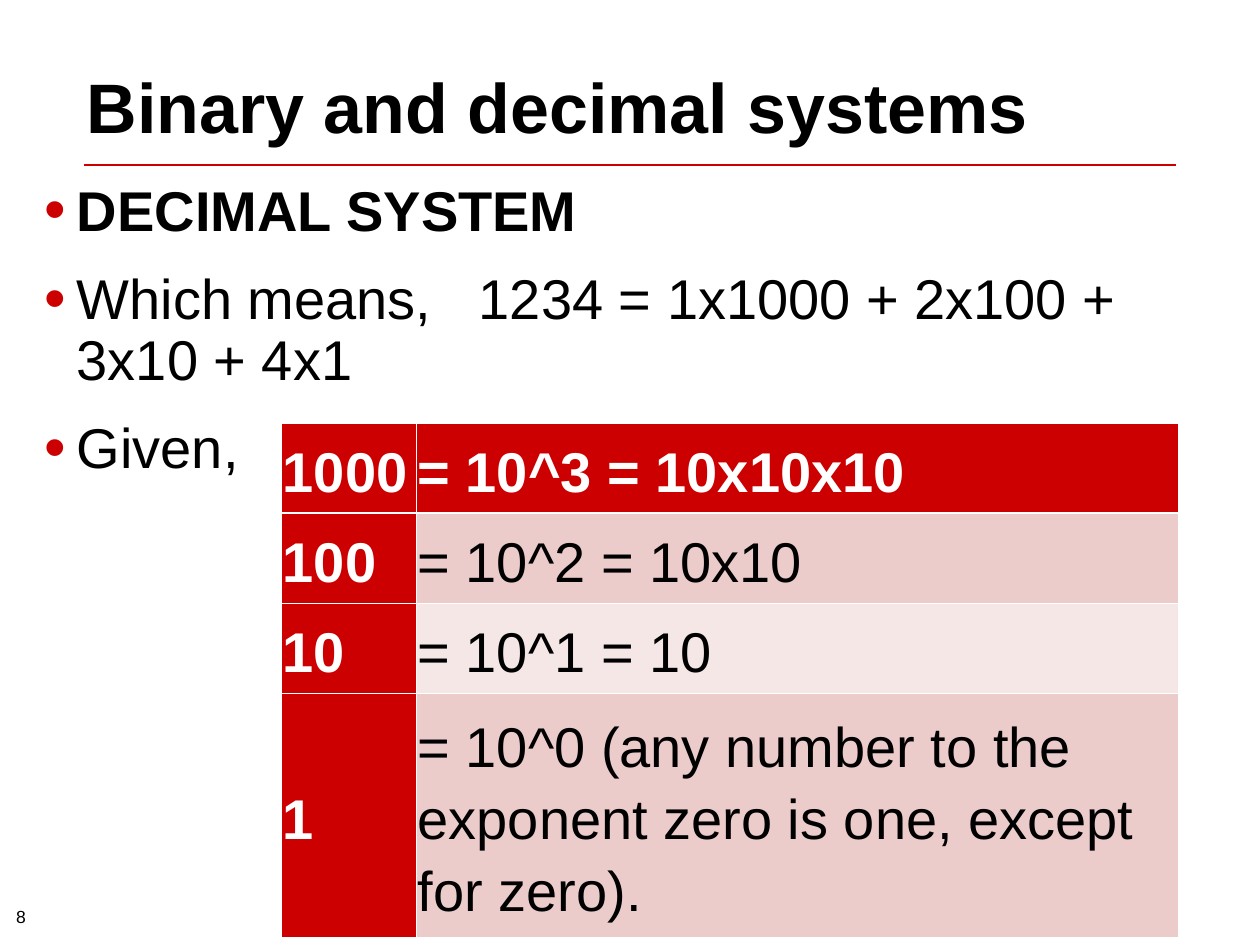
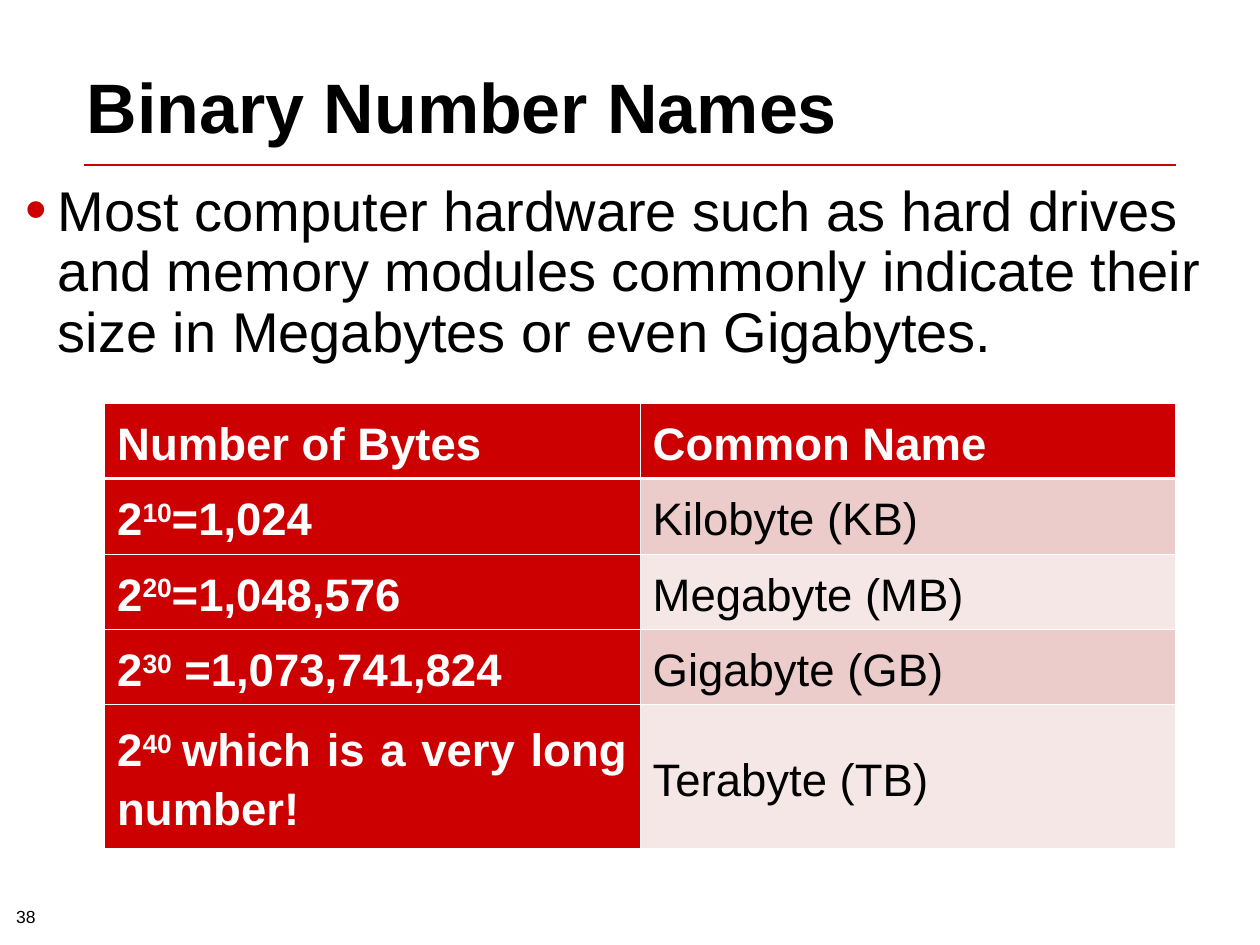
from lxml.etree import SubElement
from pptx import Presentation
from pptx.dml.color import RGBColor as RGB
from pptx.enum.shapes import MSO_CONNECTOR as Connector
from pptx.enum.text import MSO_ANCHOR as Anchor, PP_ALIGN as Align
from pptx.oxml.ns import qn
from pptx.util import Pt

COLORS = {"accent": "CC0000", "text": "000000", "light": "FFFFFF",
          "band_dark": "ECCBCB", "band_pale": "F6E7E7"}
SUPER = {"baseline": "30000"}
WIDE_SPACE = {"spc": "1780"}
BOLD = {"bold": True}


def color(name):
    return RGB.from_string(COLORS[name])


def assign(target, values):
    for name, value in values.items():
        setattr(target, name, value)


class Deck:
    font = "Arial"
    title_para = {"line_spacing": Pt(32)}
    bullet_para = {"line_spacing": 0.9, "space_before": Pt(8), "space_after": Pt(8)}
    bullet_indent = Pt(18.72)

    def __init__(self, width, height):
        self.prs = Presentation()
        assign(self.prs, {"slide_width": Pt(width), "slide_height": Pt(height)})
        self.s = None

    def slide(self, title, number):
        self.s = self.prs.slides.add_slide(self.prs.slide_layouts[6])
        tf = self.box(49.68, 18, 620.64, 66.24, Anchor.BOTTOM)
        self.text(tf.paragraphs[0], [title], 40, "text", BOLD, self.title_para)
        tf = self.box(2.16, 497.52, 54.72, 36, Anchor.BOTTOM, 7.2, 3.6)
        self.text(tf.paragraphs[0], [number], 10, "text")
        self.rule(48.24, 94.32, 671.76)

    def box(self, x, y, w, h, anchor=Anchor.TOP, side=0, edge=0):
        tf = self.s.shapes.add_textbox(Pt(x), Pt(y), Pt(w), Pt(h)).text_frame
        assign(tf, {"word_wrap": True, "vertical_anchor": anchor,
                    "margin_left": Pt(side), "margin_right": Pt(side),
                    "margin_top": Pt(edge), "margin_bottom": Pt(edge)})
        return tf

    def text(self, p, parts, size, ink, font=None, para=None):
        assign(p, para or {})
        for part in parts:
            words, marks = (part, {}) if isinstance(part, str) else part
            r = p.add_run()
            r.text = words
            assign(r.font, {"name": self.font, "size": Pt(size), "bold": False, **(font or {})})
            r.font.color.rgb = color(ink)
            rPr = r._r.get_or_add_rPr()
            for name, value in marks.items():
                rPr.set(name, value)

    def rule(self, x1, y, x2):
        line = self.s.shapes.add_connector(Connector.STRAIGHT, Pt(x1), Pt(y), Pt(x2), Pt(y))
        line.line.color.rgb = color("accent")
        line.line.width = Pt(0.75)
        SubElement(line._element.spPr, qn("a:effectLst"))

    def bullets(self, x, w, items):
        tf = self.box(x, 104.4, w, 386.64)
        for i, (parts, font) in enumerate(items):
            p = tf.add_paragraph() if i else tf.paragraphs[0]
            self.text(p, parts, 32, "text", font, self.bullet_para)
            self.bullet(p)

    def bullet(self, p):
        pPr = p._p.get_or_add_pPr()
        pPr.set("marL", str(self.bullet_indent))
        pPr.set("indent", str(-self.bullet_indent))
        SubElement(SubElement(pPr, qn("a:buClr")), qn("a:srgbClr"), val=COLORS["accent"])
        SubElement(pPr, qn("a:buSzPct"), val="110000")
        SubElement(pPr, qn("a:buFont"), typeface=self.font)
        SubElement(pPr, qn("a:buChar"), char="•")

    def table(self, x, y, widths, heights, rows, size, para, side):
        shape = self.s.shapes.add_table(len(rows), len(widths), Pt(x), Pt(y),
                                        Pt(sum(widths)), Pt(sum(heights)))
        table = shape.table
        for col, width in zip(table.columns, widths):
            col.width = Pt(width)
        for row, height in zip(table.rows, heights):
            row.height = Pt(height)
        for i, row in enumerate(rows):
            for j, parts in enumerate(row):
                cell = table.cell(i, j)
                head = i == 0 or j == 0
                band = "band_dark" if i % 2 else "band_pale"
                assign(cell, {"vertical_anchor": Anchor.MIDDLE,
                              "margin_left": Pt(side), "margin_right": Pt(side),
                              "margin_top": Pt(3.6), "margin_bottom": Pt(3.6)})
                self.borders(cell, i)
                cell.fill.solid()
                cell.fill.fore_color.rgb = color("accent" if head else band)
                self.text(cell.text_frame.paragraphs[0], parts, size,
                          "light" if head else "text", {"bold": head}, para)

    def borders(self, cell, row):
        tcPr = cell._tc.get_or_add_tcPr()
        thick = {0: "lnB", 1: "lnT"}.get(row)
        for edge in ("lnL", "lnR", "lnT", "lnB"):
            width = Pt(1.47 if edge == thick else 0.45)
            fill = SubElement(SubElement(tcPr, qn(f"a:{edge}"), w=str(width)), qn("a:solidFill"))
            SubElement(fill, qn("a:srgbClr"), val=COLORS["light"])


def power(exponent, rest):
    return ["2", (exponent, SUPER), rest]


def main():
    deck = Deck(720, 540)

    deck.slide("Binary and decimal systems", "8")
    deck.bullets(25.2, 674.64, [
        (["DECIMAL SYSTEM"], BOLD),
        (["Which means,", (" ", WIDE_SPACE), "1234 = 1x1000 + 2x100 + 3x10 + 4x1"], {}),
        (["Given,"], {}),
    ])
    place_values = [
        (["1000"], ["= 10^3 = 10x10x10"]),
        (["100"], ["= 10^2 = 10x10"]),
        (["10"], ["= 10^1 = 10"]),
        (["1"], ["= 10^0 (any number to the exponent zero is one, except for zero)."]),
    ]
    deck.table(160.92, 241.92, [77.04, 435.6], [45.36] * 3 + [133.92], place_values, 32,
               {"line_spacing": 1.15, "space_after": Pt(10)}, 0.72)

    deck.slide("Binary Number Names", "38")
    deck.bullets(14.4, 686.16, [
        (["Most computer hardware such as hard drives and memory modules commonly "
          "indicate their size in Megabytes or even Gigabytes."], {}),
    ])
    byte_names = [
        (["Number of Bytes"], ["Common Name"]),
        (power("10", "=1,024"), ["Kilobyte (KB)"]),
        (power("20", "=1,048,576"), ["Megabyte (MB)"]),
        (power("30", " =1,073,741,824"), ["Gigabyte (GB)"]),
        (power("40 ", "which is a very long number!"), ["Terabyte (TB)"]),
    ]
    deck.table(59.76, 230.4, [306] * 2, [39.6] * 4 + [82.08], byte_names, 26,
               {"line_spacing": 1.15, "alignment": Align.JUSTIFY}, 7.2)

    deck.prs.save("out.pptx")


if __name__ == "__main__":
    main()
